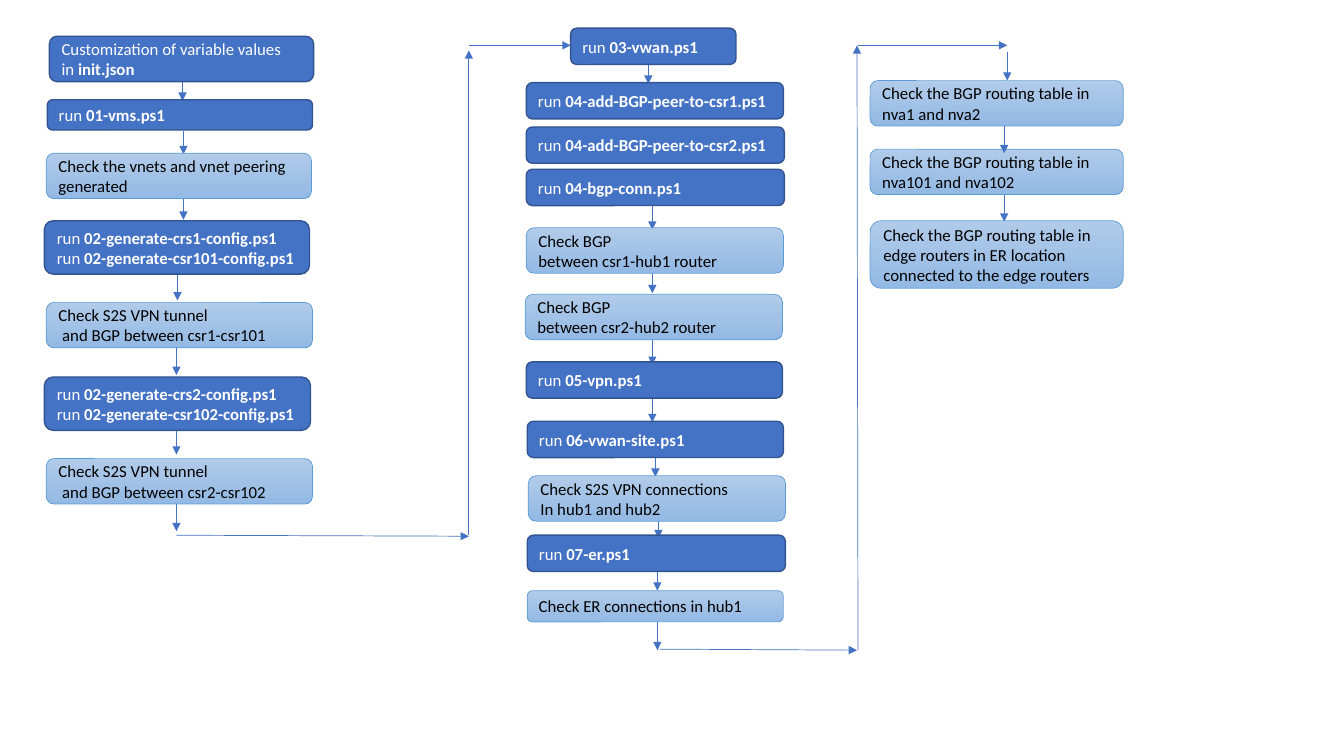
import pptx
import pptx.util
import pptx.dml.color
import pptx.enum.shapes
import pptx.enum.text
import lxml.etree

PX = 9144  # EMU in one px, 100 px to the inch
SLIDE_SIZE = (1333, 750)
FONT, FONT_SIZE = "Calibri", 12
ARROW_COLOR = "4472C4"

# Box styles
RUN = {"fill": ["4472C4"], "line": "325491", "line_width": 1, "color": "FFFFFF"}
CHECK = {"fill": ["B1CBE9", "93B9E4"], "line": "5B9BD5", "line_width": 0.5, "color": "000000"}

# Boxes: style, left, top, width, height, paragraphs
# (*...* is bold, / is a line break)
BOXES = [
    (RUN, 49, 36, 262, 45, ["Customization of variable values /in *init.json*"]),
    (RUN, 47, 99, 263, 30, ["run *01-vms.ps1*"]),
    (CHECK, 46, 152, 263, 45, ["Check the vnets and vnet peering generated"]),
    (RUN, 44, 219, 263, 53,
     ["run *02-generate-crs1-config.ps1*", "run *02-generate-csr101-config.ps1*"]),
    (CHECK, 46, 300, 264, 45, ["Check S2S VPN tunnel", " and BGP between csr1-csr101"]),
    (RUN, 44, 374, 264, 53,
     ["run *02-generate-crs2-config.ps1*", "run *02-generate-csr102-config.ps1*"]),
    (CHECK, 46, 455, 264, 45, ["Check S2S VPN tunnel", " and BGP between csr2-csr102"]),

    (RUN, 566, 28, 164, 36, ["run *03-vwan.ps1*"]),
    (RUN, 522, 82, 255, 36, ["run *04-add-BGP-peer-to-csr1.ps1*"]),
    (RUN, 522, 126, 256, 36, ["run *04-add-BGP-peer-to-csr2.ps1*"]),
    (RUN, 522, 168, 256, 36, ["run *04-bgp-conn.ps1*"]),
    (CHECK, 522, 226, 255, 45, ["Check BGP", "between csr1-hub1 router"]),
    (CHECK, 521, 292, 255, 45, ["Check BGP", "between csr2-hub2 router"]),
    (RUN, 522, 359, 254, 36, ["run *05-vpn.ps1*"]),
    (RUN, 523, 418, 254, 36, ["run *06-vwan-site.ps1*"]),
    (CHECK, 524, 472, 255, 45, ["Check S2S VPN connections", "In hub1 and hub2"]),
    (RUN, 523, 531, 256, 36, ["run *07-er.ps1*"]),
    (CHECK, 523, 586, 254, 31, ["Check ER connections in hub1"]),

    (CHECK, 863, 80, 251, 45, ["Check the BGP routing table in nva1 and nva2"]),
    (CHECK, 863, 148, 251, 45, ["Check the BGP routing table in nva101 and nva102"]),
    (CHECK, 863, 219, 251, 67,
     ["Check the BGP routing table in edge routers in ER location connected to the edge routers"]),
]

# Downward arrows behind the boxes: x, top, bottom
STEP_ARROWS = [
    (181, 52, 100), (182, 130, 153), (182, 177, 218), (176, 272, 298),
    (175, 334, 372), (175, 424, 451), (175, 500, 527),
    (643, 44, 83), (647, 201, 228), (647, 264, 291), (647, 334, 362),
    (647, 391, 419), (650, 446, 473), (653, 507, 534), (652, 559, 586), (652, 617, 645),
    (999, 52, 80), (996, 192, 220),
]

# Arrows in front of the boxes: start x, start y, end x, end y
ROUTE_ARROWS = [
    (175, 531, 465, 532), (465, 531, 465, 50), (465, 45, 566, 45),
    (653, 644, 850, 645), (851, 645, 850, 45), (851, 45, 999, 45),
    (996, 125, 996, 152),
]


def px(*lengths):
    return [pptx.util.Emu(length * PX) for length in lengths]


def rgb(value):
    return pptx.dml.color.RGBColor.from_string(value)


def add_text(paragraph, text, color, size=FONT_SIZE, font=FONT):
    paragraph.alignment = pptx.enum.text.PP_ALIGN.LEFT
    for line_index, line in enumerate(text.split("/")):
        if line_index:
            paragraph.add_line_break()
        for part_index, part in enumerate(line.split("*")):
            if part:
                run = paragraph.add_run()
                run.text = part
                run.font.name = font
                run.font.size = pptx.util.Pt(size)
                run.font.bold = part_index % 2 == 1
                run.font.color.rgb = rgb(color)


def add_box(slide, style, left, top, width, height, texts):
    shape = slide.shapes.add_shape(
        pptx.enum.shapes.MSO_SHAPE.ROUNDED_RECTANGLE, *px(left, top, width, height))
    shape.shadow.inherit = False
    if len(style["fill"]) == 1:
        shape.fill.solid()
        shape.fill.fore_color.rgb = rgb(style["fill"][0])
    else:
        shape.fill.gradient()
        shape.fill.gradient_angle = 270  # top to bottom
        for stop, color in zip(shape.fill.gradient_stops, style["fill"]):
            stop.color.rgb = rgb(color)
    shape.line.color.rgb = rgb(style["line"])
    shape.line.width = pptx.util.Pt(style["line_width"])

    frame = shape.text_frame
    frame.word_wrap = True
    frame.vertical_anchor = pptx.enum.text.MSO_ANCHOR.MIDDLE
    for index, text in enumerate(texts):
        paragraph = frame.add_paragraph() if index else frame.paragraphs[0]
        add_text(paragraph, text, style["color"])


def add_arrow(slide, *ends):
    connector = slide.shapes.add_connector(
        pptx.enum.shapes.MSO_CONNECTOR.STRAIGHT, *px(*ends))
    connector.line.color.rgb = rgb(ARROW_COLOR)
    connector.line.width = pptx.util.Pt(0.5)
    namespace = "{http://schemas.openxmlformats.org/drawingml/2006/main}"
    properties = connector.line._get_or_add_ln()
    lxml.etree.SubElement(properties, namespace + "tailEnd", type="triangle")
    lxml.etree.SubElement(properties.getparent(), namespace + "effectLst")


def main():
    presentation = pptx.Presentation()
    presentation.slide_width, presentation.slide_height = px(*SLIDE_SIZE)
    slide = presentation.slides.add_slide(presentation.slide_layouts[6])

    for x, top, bottom in STEP_ARROWS:
        add_arrow(slide, x, top, x, bottom)
    for box in BOXES:
        add_box(slide, *box)
    for ends in ROUTE_ARROWS:
        add_arrow(slide, *ends)

    presentation.save("out.pptx")


if __name__ == "__main__":
    main()
